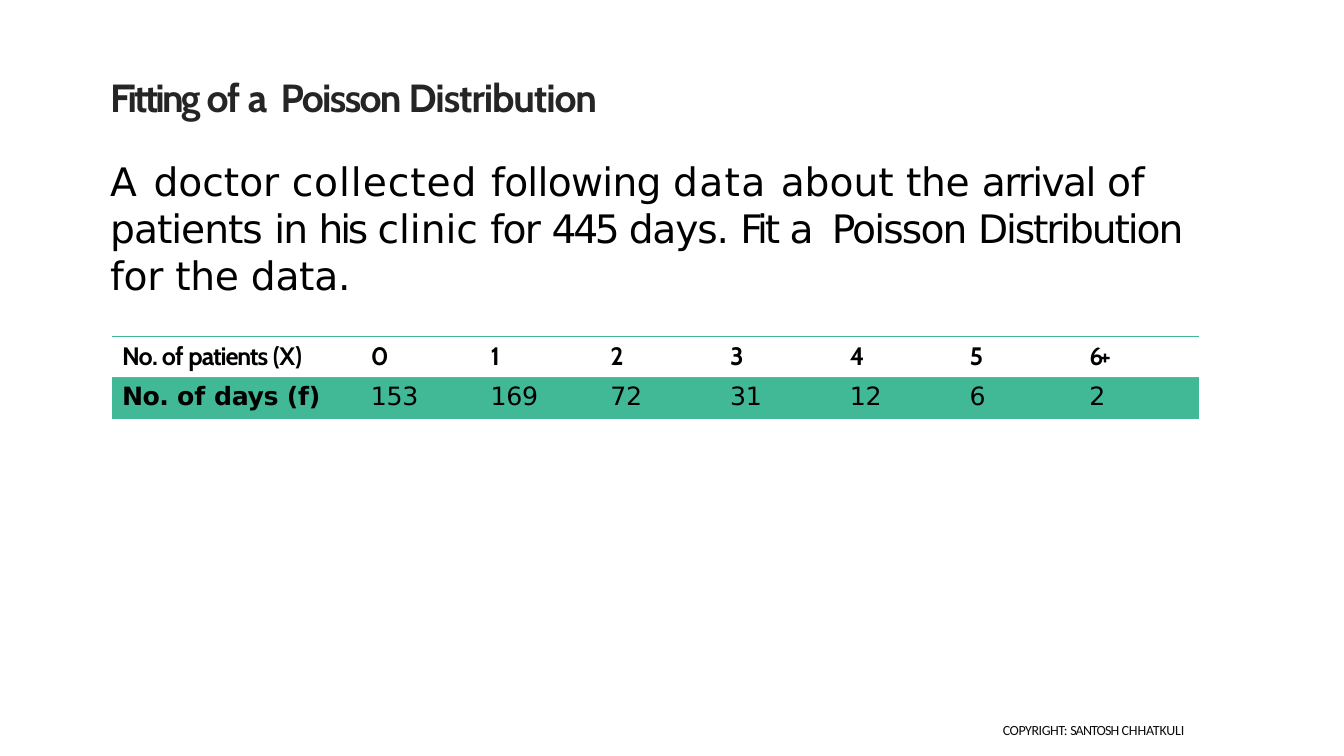
from itertools import accumulate
from lxml.etree import SubElement
from pptx import Presentation
from pptx.dml.color import RGBColor
from pptx.enum.text import MSO_ANCHOR, PP_ALIGN
from pptx.oxml.ns import qn
from pptx.util import Pt

# Content: every text is a list of (words, letter spacing in points)
TITLE = [("Fitting ", -2), ("of ", -0.9), ("a ", 1.6), ("Poisson ", -1.2), ("Distribution", -0.8)]
QUESTION = [
    ("A ", 1.5), ("doctor ", 0), ("collected ", 0.7), ("following ", -0.5), ("data ", 1),
    ("about ", 0), ("the ", -0.2), ("arrival ", -1.2), ("of ", -0.2), ("patients ", -0.7),
    ("in ", -1.4), ("his ", -2.3), ("clinic ", 0), ("for ", -1.2), ("445 ", -2.4),
    ("days. ", -0.8), ("Fit ", -2.2), ("a ", 2.1), ("Poisson ", -1.3),
    ("Distribution ", -1.5), ("for the data.", -0.2),
]
FOOTER = [("COPYRIGHT: ", -0.3), ("SANTOSH ", -0.6), ("CHHATKULI", -0.1)]
PATIENTS_LABEL = [("No. ", -0.6), ("of ", -0.6), ("patients ", -0.8), ("(X)", -0.2)]
DAYS_LABEL = [("No. ", -0.4), ("of ", 0), ("days ", -0.3), ("(f)", -0.2)]
PATIENTS = [("0", 0), ("1", 0), ("2", 0), ("3", 0), ("4", 0), ("5", 0), ("6+", -3)]
DAYS = [("153", -0.2), ("169", -0.2), ("72", -0.2), ("31", -0.2), ("12", -0.2), ("6", 0), ("2", 0)]

THEME = {
    "title": {"font": "Cabin", "size": 28, "color": "252525", "bold": True},
    "question": {"font": "DejaVu Sans", "size": 28, "color": "000000", "bold": False},
    "footer": {"font": "Calibri", "size": 10, "color": "0D0D0D", "bold": False},
    "patients": {"font": "Cabin", "size": 18, "color": "000000", "bold": True},
    "days_label": {"font": "DejaVu Sans", "size": 18, "color": "000000", "bold": True},
    "days": {"font": "DejaVu Sans", "size": 18, "color": "000000", "bold": False},
    "accent": "42B996",
    "divider": "7FA79B",
}

# Layout in points
COLUMNS = [174.24, 68.4, 85.68, 80.64, 85.68, 85.68, 80.64, 115.92]
ROW_HEIGHT = 29.1
LABEL_INDENT = 7.2
FIRST_VALUE, VALUE_STEP = 185, 85.55
NO_STYLE = "{2D5ABB26-0587-4C30-8999-92F81FD0307C}"


def write(para, words, style, before, indent=0):
    para.space_before = Pt(before)
    para._p.get_or_add_pPr().set("marL", str(Pt(indent)))
    for text, spacing in words:
        span = para.add_run()
        span.text = text
        span.font.name = style["font"]
        span.font.size = Pt(style["size"])
        span.font.bold = style["bold"]
        span.font.color.rgb = RGBColor.from_string(style["color"])
        span._r.get_or_add_rPr().set("spc", str(round(spacing * 100)))


def add_text_box(page, left, top, width, height):
    box = page.shapes.add_textbox(Pt(left), Pt(top), Pt(width), Pt(height))
    frame = box.text_frame
    frame.word_wrap = True
    frame.margin_left = frame.margin_right = frame.margin_bottom = 0
    frame.margin_top = Pt(0.9)
    return frame


def add_border(cell, side, color, width):
    line = SubElement(cell._tc.get_or_add_tcPr(), qn(side), w=str(Pt(width)))
    fill = SubElement(line, qn("a:solidFill"))
    SubElement(fill, qn("a:srgbClr"), val=color)


def tint(cell, color, percent):
    cell.fill.solid()
    cell.fill.fore_color.rgb = RGBColor.from_string(color)
    color_node = cell._tc.tcPr.find(".//" + qn("a:srgbClr"))
    SubElement(color_node, qn("a:alpha"), val=str(percent * 1000))


def fill_cell(cell, words, style, before, indent):
    cell.margin_left = cell.margin_right = cell.margin_bottom = 0
    cell.margin_top = Pt(3.6)
    write(cell.text_frame.paragraphs[0], words, style, before, indent)


def add_frequency_table(page):
    frame = page.shapes.add_table(2, len(COLUMNS), Pt(80), Pt(240.4),
                                  Pt(sum(COLUMNS)), Pt(2 * ROW_HEIGHT))
    table = frame.table
    table.first_row = table.horz_banding = False
    table._tbl.tblPr.find(qn("a:tableStyleId")).text = NO_STYLE
    for row in table.rows:
        row.height = Pt(ROW_HEIGHT)

    lefts = accumulate(COLUMNS, initial=0)
    for index, (left, width) in enumerate(zip(lefts, COLUMNS)):
        table.columns[index].width = Pt(width)
        if index == 0:
            indent, patients, days = LABEL_INDENT, PATIENTS_LABEL, DAYS_LABEL
            days_style = THEME["days_label"]
        else:
            indent = FIRST_VALUE + VALUE_STEP * (index - 1) - left
            patients, days = [PATIENTS[index - 1]], [DAYS[index - 1]]
            days_style = THEME["days"]
        upper, lower = table.cell(0, index), table.cell(1, index)
        fill_cell(upper, patients, THEME["patients"], 3.3, indent)
        fill_cell(lower, days, days_style, 3.2, indent)
        add_border(upper, "a:lnT", THEME["accent"], 1)
        add_border(upper, "a:lnB", THEME["divider"], 0.75)
        add_border(lower, "a:lnT", THEME["divider"], 0.75)
        add_border(lower, "a:lnB", THEME["accent"], 1)
        upper.fill.background()
        tint(lower, THEME["accent"], 20)


def main():
    deck = Presentation()
    deck.slide_width, deck.slide_height = Pt(960), Pt(540)
    page = deck.slides.add_slide(deck.slide_layouts[6])

    # Title and question
    frame = add_text_box(page, 77.8, 51.8, 805.7, 162.7)
    write(frame.paragraphs[0], TITLE, THEME["title"], 0.9, 0.9)
    write(frame.add_paragraph(), QUESTION, THEME["question"], 26.2, 0.9)

    # Footer
    frame = add_text_box(page, 381.6, 509.8, 464.4, 21.6)
    frame.vertical_anchor = MSO_ANCHOR.MIDDLE
    write(frame.paragraphs[0], FOOTER, THEME["footer"], 1, 0.9)
    frame.paragraphs[0].alignment = PP_ALIGN.RIGHT

    # Frequency table
    add_frequency_table(page)
    deck.save("out.pptx")


if __name__ == "__main__":
    main()
